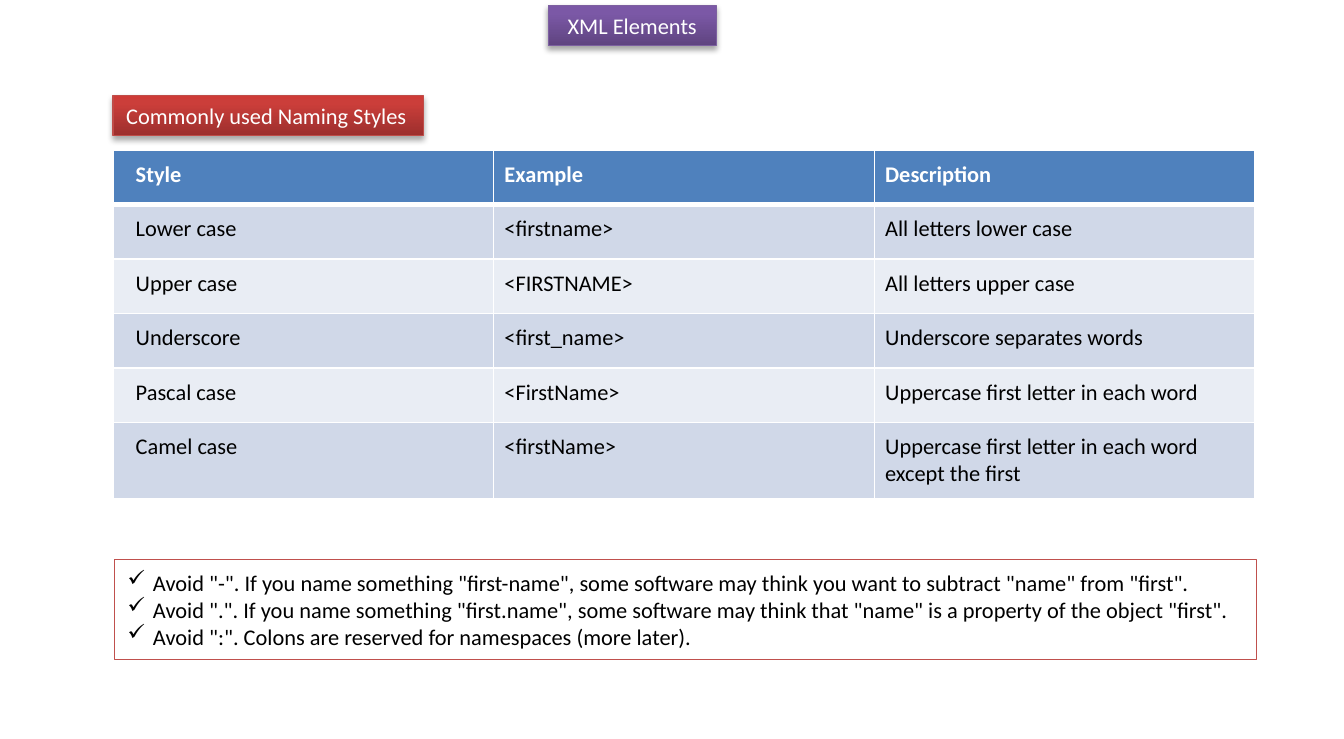
"""Build a slide on the naming styles commonly used for XML elements."""
import dataclasses

import lxml.etree
import pptx
import pptx.dml.color
import pptx.enum.shapes
import pptx.enum.text
import pptx.oxml.ns
import pptx.util

Inches = pptx.util.Inches


@dataclasses.dataclass(frozen=True)
class Theme:
    font: str = "Calibri"
    bullet_font: str = "Wingdings"
    size: int = 12
    white: str = "FFFFFF"
    black: str = "000000"
    header: str = "4F81BD"
    bands: tuple = ("D0D8E8", "E9EDF4")
    purple: tuple = ("5F4480", "7B58A6", "7C57A8")
    purple_line: str = "7D60A0"
    red: tuple = ("9C2F2D", "CB3E3A", "CE3B37")
    red_line: str = "BF4C48"
    note_line: str = "C0504D"


THEME = Theme()

STYLES = [
    ("Style", "Example", "Description"),
    ("Lower case", "<firstname>", "All letters lower case"),
    ("Upper case", "<FIRSTNAME>", "All letters upper case"),
    ("Underscore", "<first_name>", "Underscore separates words"),
    ("Pascal case", "<FirstName>", "Uppercase first letter in each word"),
    ("Camel case", "<firstName>", "Uppercase first letter in each word except the first"),
]

ADVICE = [
    'Avoid "-". If you name something "first-name", some software may think you want to subtract "name" from "first".',
    'Avoid ".". If you name something "first.name", some software may think that "name" is a property of the object "first".',
    'Avoid ":". Colons are reserved for namespaces (more later).',
]


def rgb(value):
    return pptx.dml.color.RGBColor.from_string(value)


def add_element(parent, tag, **attributes):
    element = lxml.etree.SubElement(parent, pptx.oxml.ns.qn(tag))
    for name, value in attributes.items():
        element.set(name, str(value))
    return element


def write(para, text, color, bold=False):
    span = para.add_run()
    span.text = text
    span.font.name = THEME.font
    span.font.size = pptx.util.Pt(THEME.size)
    span.font.bold = bold
    span.font.color.rgb = rgb(color)


def set_line(shape, color, width):
    shape.line.color.rgb = rgb(color)
    shape.line.width = pptx.util.Pt(width)


def place(shape, left, top, width, height):
    shape.left, shape.top = Inches(left), Inches(top)
    shape.width, shape.height = Inches(width), Inches(height)


def add_rectangle(page, left, top, width, height):
    return page.shapes.add_shape(
        pptx.enum.shapes.MSO_SHAPE.RECTANGLE,
        Inches(left), Inches(top), Inches(width), Inches(height))


def set_gradient(shape, colors):
    shape.fill.gradient()
    shape.fill.gradient_angle = 90
    stops = shape.element.spPr.find(".//" + pptx.oxml.ns.qn("a:gsLst"))
    stops.clear()
    for position, color in zip((0, 80, 100), colors):
        stop = add_element(stops, "a:gs", pos=position * 1000)
        add_element(stop, "a:srgbClr", val=color)


def set_shadow(shape):
    shape.shadow.inherit = False
    effects = shape.element.spPr.find(pptx.oxml.ns.qn("a:effectLst"))
    shadow = add_element(
        effects, "a:outerShdw", blurRad=pptx.util.Pt(3.1), dist=pptx.util.Pt(1.8),
        dir=90 * 60000, rotWithShape=0)
    color = add_element(shadow, "a:srgbClr", val=THEME.black)
    add_element(color, "a:alpha", val=35000)


def format_label(shape, text, colors, line, align):
    set_gradient(shape, colors)
    set_line(shape, line, 0.75)
    set_shadow(shape)
    frame = shape.text_frame
    frame.word_wrap = False
    frame.auto_size = pptx.enum.text.MSO_AUTO_SIZE.NONE
    frame.vertical_anchor = pptx.enum.text.MSO_ANCHOR.TOP
    para = frame.paragraphs[0]
    para.alignment = align
    write(para, text, THEME.white)


def set_borders(cell, top, bottom):
    properties = cell._tc.get_or_add_tcPr()
    for side, width in (("L", 1), ("R", 1), ("T", top), ("B", bottom)):
        line = add_element(properties, "a:ln" + side, w=pptx.util.Pt(width))
        fill = add_element(line, "a:solidFill")
        add_element(fill, "a:srgbClr", val=THEME.white)


def add_style_table(page):
    table = page.shapes.add_table(
        len(STYLES), len(STYLES[0]),
        Inches(0.84), Inches(1.12), Inches(8.5), Inches(2.43)).table
    for row, values in enumerate(STYLES):
        heading = row == 0
        for column, text in enumerate(values):
            cell = table.cell(row, column)
            set_borders(cell, 3 if row == 1 else 1, 3 if heading else 1)
            cell.fill.solid()
            cell.fill.fore_color.rgb = rgb(THEME.header if heading else THEME.bands[(row - 1) % 2])
            cell.margin_left = Inches(0.17 if column == 0 else 0.08)
            cell.margin_top = cell.margin_right = cell.margin_bottom = Inches(0.08)
            write(cell.text_frame.paragraphs[0], text,
                  THEME.white if heading else THEME.black, heading)


def add_advice(page):
    box = add_rectangle(page, 0.85, 4.16, 8.5, 0.75)
    box.shadow.inherit = False
    box.fill.solid()
    box.fill.fore_color.rgb = rgb(THEME.white)
    set_line(box, THEME.note_line, 0.25)
    frame = box.text_frame
    frame.word_wrap = True
    frame.vertical_anchor = pptx.enum.text.MSO_ANCHOR.MIDDLE
    for index, text in enumerate(ADVICE):
        para = frame.add_paragraph() if index else frame.paragraphs[0]
        para.alignment = pptx.enum.text.PP_ALIGN.LEFT
        properties = para._p.get_or_add_pPr()
        properties.set("marL", str(Inches(0.19)))
        properties.set("indent", str(-Inches(0.19)))
        add_element(properties, "a:buFont", typeface=THEME.bullet_font, charset=2)
        add_element(properties, "a:buChar", char="ü")
        write(para, text, THEME.black)


def main():
    deck = pptx.Presentation()
    deck.slide_width, deck.slide_height = Inches(10), Inches(5.5)
    page = deck.slides.add_slide(deck.slide_layouts[5])
    title = page.shapes.title
    place(title, 4.08, 0.04, 1.25, 0.3)
    format_label(title, "XML Elements", THEME.purple, THEME.purple_line,
                 pptx.enum.text.PP_ALIGN.CENTER)
    add_style_table(page)
    label = add_rectangle(page, 0.84, 0.71, 2.31, 0.3)
    format_label(label, "Commonly used Naming Styles", THEME.red, THEME.red_line,
                 pptx.enum.text.PP_ALIGN.LEFT)
    add_advice(page)
    deck.save("out.pptx")


if __name__ == "__main__":
    main()
